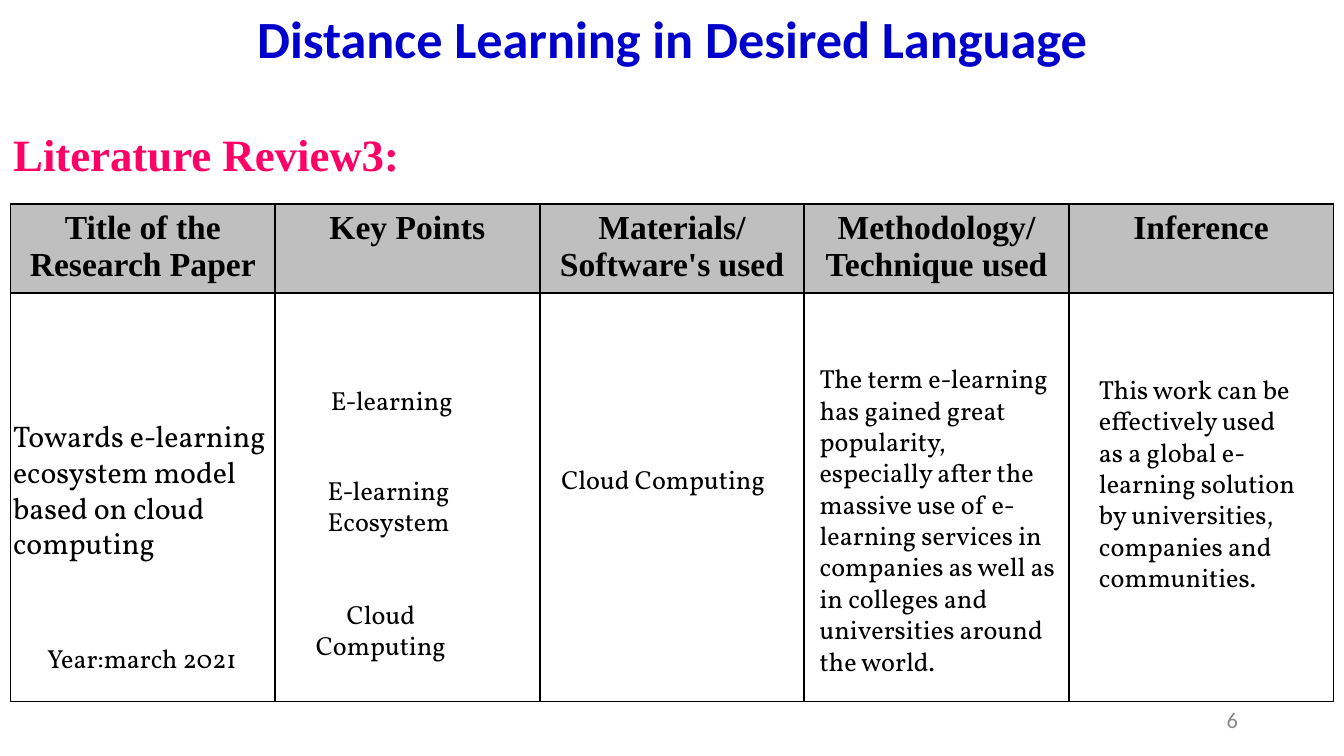
from dataclasses import dataclass
from lxml import etree
from pptx import Presentation
from pptx.dml.color import RGBColor
from pptx.enum.text import MSO_ANCHOR, MSO_AUTO_SIZE, PP_ALIGN
from pptx.oxml.ns import qn
from pptx.util import Cm, Pt

LEFT, MID, RIGHT = PP_ALIGN.LEFT, PP_ALIGN.CENTER, PP_ALIGN.RIGHT
TOP, CENTER = MSO_ANCHOR.TOP, MSO_ANCHOR.MIDDLE
GROW = MSO_AUTO_SIZE.SHAPE_TO_FIT_TEXT
FIXED = MSO_AUTO_SIZE.NONE


@dataclass(frozen=True)
class Style:
    font: str
    size: int
    color: str
    bold: bool = False


class Theme:
    title = Style("Calibri", 28, "0000CC", True)
    topic = Style("Times New Roman", 24, "FF0066", True)
    head = Style("Times New Roman", 18, "000000", True)
    paper = Style("Vollkorn", 16, "000000")
    note = Style("Vollkorn", 14, "000000")
    page = Style("Calibri", 12, "898989")
    band = "BFBFBF"
    plain = "FFFFFF"
    rule = "000000"


HEADS = [
    "Title of the Research Paper",
    "Key Points",
    "Materials/ Software's used",
    "Methodology/ Technique used",
    "Inference",
]

NOTES = [
    ("Towards e-learning ecosystem model based on cloud computing",
     (-0.2, 3.91, 5.51, 3), LEFT, Theme.paper),
    ("E-learning", (5.72, 3.28, 2.97, 0.86), MID, Theme.note),
    ("E-learning Ecosystem", (5.52, 4.98, 3.25, 1.45), MID, Theme.note),
    ("Cloud Computing", (5.31, 7.32, 3.38, 1.45), MID, Theme.note),
    ("Cloud Computing", (10.16, 4.78, 4.65, 0.86), LEFT, Theme.note),
    ("The term e-learning has gained great popularity, especially after the "
     "massive use of e-learning services in companies as well as in colleges "
     "and universities around the world.",
     (15.04, 2.87, 5.08, 6.25), LEFT, Theme.note),
    ("This work can be effectively used as a global e-learning solution by "
     "universities, companies and communities.",
     (20.32, 3.07, 4.24, 5.05), LEFT, Theme.note),
    ("Year:march 2021", (0.44, 8.15, 4.24, 0.86), LEFT, Theme.note),
]


def write(frame, text, style, align):
    frame.text = text
    para = frame.paragraphs[0]
    para.alignment = align
    for run in para.runs:
        font = run.font
        font.name, font.size, font.bold = style.font, Pt(style.size), style.bold
        font.color.rgb = RGBColor.from_string(style.color)
    return para


def label(slide, box, text, style, align=LEFT, anchor=TOP, fit=FIXED):
    frame = slide.shapes.add_textbox(*map(Cm, box)).text_frame
    frame.word_wrap = True
    frame.auto_size = fit
    frame.vertical_anchor = anchor
    return write(frame, text, style, align)


def edge(cell):
    props = cell._tc.get_or_add_tcPr()
    for i, side in enumerate(("a:lnL", "a:lnR", "a:lnT", "a:lnB")):
        line = etree.Element(qn(side), w=str(Pt(1)))
        fill = etree.SubElement(line, qn("a:solidFill"))
        etree.SubElement(fill, qn("a:srgbClr"), val=Theme.rule)
        props.insert(i, line)


def grid(slide, box):
    table = slide.shapes.add_table(2, len(HEADS), *map(Cm, box)).table
    for col in table.columns:
        col.width = Cm(box[2] / len(HEADS))
    top = 1.68
    table.rows[0].height = Cm(top)
    table.rows[1].height = Cm(box[3] - top)
    for cell in table.iter_cells():
        cell.margin_top = cell.margin_bottom = Cm(0.1)
        cell.fill.solid()
        cell.fill.fore_color.rgb = RGBColor.from_string(Theme.plain)
        edge(cell)
    for cell, text in zip(table.rows[0].cells, HEADS):
        cell.fill.fore_color.rgb = RGBColor.from_string(Theme.band)
        write(cell.text_frame, text, Theme.head, MID)


def review(slide, box):
    grid(slide, box)
    left, top = box[:2]
    for text, (x, y, wide, high), align, style in NOTES:
        label(slide, (left + x, top + y, wide, high), text, style, align,
              fit=GROW)


def header(slide, box):
    left, top, wide, high = box
    label(slide, (left, top, wide, 2.39), "Distance Learning in Desired Language",
          Theme.title, MID)
    para = label(slide, (left, top + 2.39, wide, high - 2.39),
                 "Literature Review3:", Theme.topic)
    para.line_spacing = 0.9


def footer(slide, box):
    label(slide, box, "6", Theme.page, RIGHT, CENTER)


def main():
    deck = Presentation()
    deck.slide_width, deck.slide_height = Cm(25.4), Cm(14.29)
    slide = deck.slides.add_slide(deck.slide_layouts[6])
    header(slide, (0, 0, 25.4, 3.79))
    review(slide, (0.2, 3.86, 25, 9.4))
    footer(slide, (17.93, 13.23, 5.72, 0.76))
    deck.save("out.pptx")


if __name__ == "__main__":
    main()
